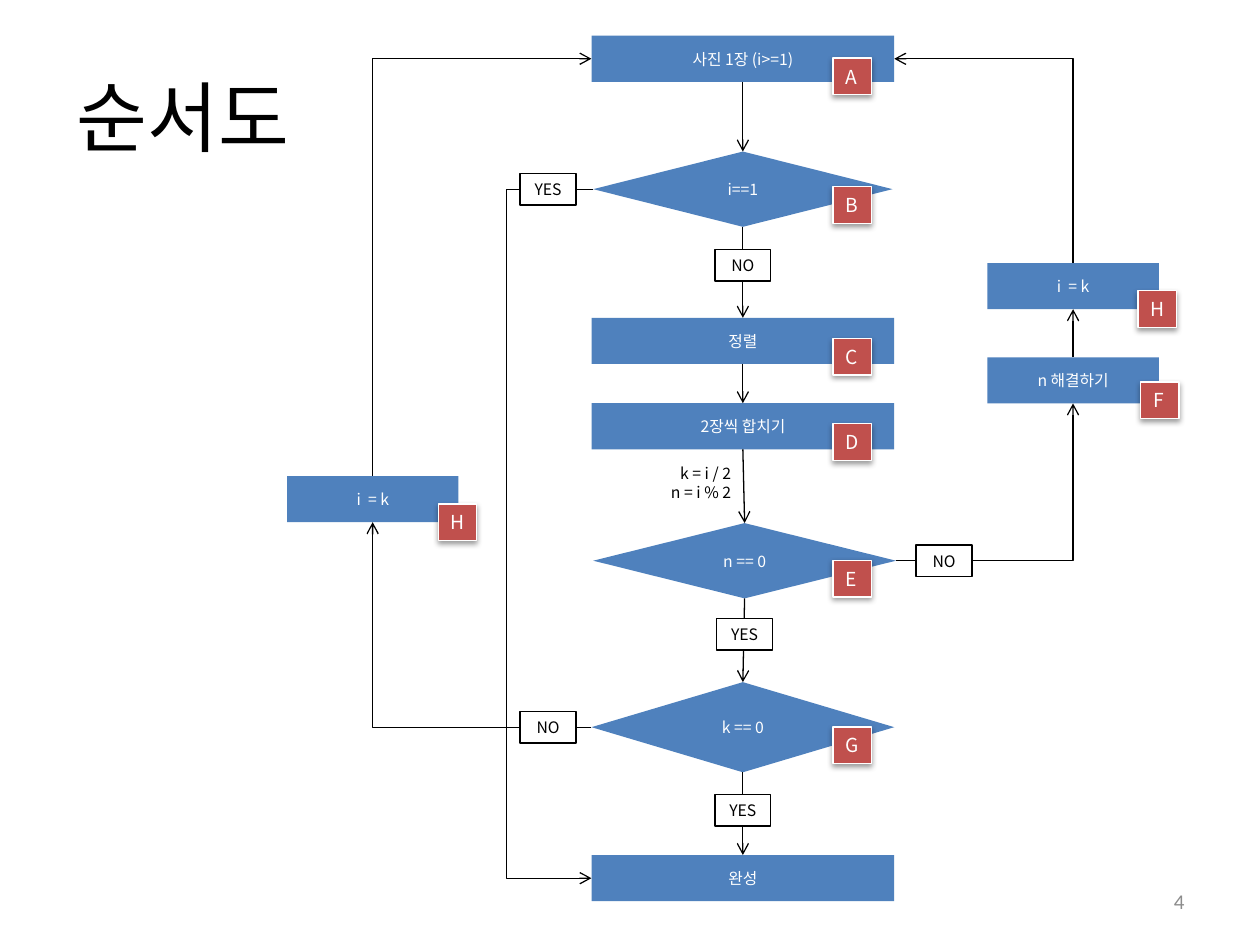
import pptx
import pptx.util
import pptx.dml.color
import pptx.enum.shapes
import pptx.enum.text
import pptx.oxml
import pptx.oxml.ns

Pt = pptx.util.Pt
Kind = pptx.enum.shapes.MSO_SHAPE
Wire = pptx.enum.shapes.MSO_CONNECTOR
Align = pptx.enum.text.PP_ALIGN
Anchor = pptx.enum.text.MSO_ANCHOR
qn = pptx.oxml.ns.qn
TOP, LEFT, BOTTOM, RIGHT = range(4)
HUES = {"blue": "4F81BD", "red": "C0504D", "white": "FFFFFF", "black": "000000", "gray": "8C8C8C"}
NS = 'xmlns:a="http://schemas.openxmlformats.org/drawingml/2006/main"'


def hue(name):
    return pptx.dml.color.RGBColor.from_string(HUES[name])


def node(text):
    return pptx.oxml.parse_xml(text.replace(" ", f" {NS} ", 1))


class Chart:
    font = "Noto Sans CJK KR"

    def __init__(self, deck):
        self.slide = deck.slides.add_slide(deck.slide_layouts[5])
        self.shapes = self.slide.shapes

    def words(self, shape, lines, size, color, align=Align.CENTER, font=None, wrap=True):
        frame = shape.text_frame
        frame.word_wrap = wrap
        frame.vertical_anchor = Anchor.MIDDLE
        for i, line in enumerate(lines):
            para = frame.add_paragraph() if i else frame.paragraphs[0]
            para.alignment = align
            if len(lines) > 1:
                para.line_spacing = Pt(11)
            run = para.add_run()
            run.text = line
            run.font.size = Pt(size)
            run.font.color.rgb = hue(color)
            run.font.name = font or self.font
            face = node(f'<a:ea typeface="{font or self.font}"/>')
            run.font._element.find(qn("a:latin")).addnext(face)

    def title(self, text, x, y, w, h):
        shape = self.shapes.title
        shape.left, shape.top, shape.width, shape.height = map(Pt, (x, y, w, h))
        shape.text_frame.margin_left = shape.text_frame.margin_right = 0
        self.words(shape, [text], 44, "black")

    def note(self, lines, x, y, w, h, **style):
        shape = self.shapes.add_textbox(*map(Pt, (x, y, w, h)))
        self.words(shape, lines, align=Align.RIGHT, **style)

    def box(self, text, x, y, w, h, kind=Kind.RECTANGLE, fill="blue", line=None,
            size=9, color="white", align=Align.CENTER, wrap=True):
        shape = self.shapes.add_shape(kind, *map(Pt, (x, y, w, h)))
        shape.shadow.inherit = False
        shape.fill.solid()
        shape.fill.fore_color.rgb = hue(fill)
        if line:
            shape.line.width = Pt(0.75)
            shape.line.color.rgb = hue(line)
        else:
            shape.line.fill.background()
        self.words(shape, [text], size, color, align, wrap=wrap)
        return shape

    def label(self, text, x, y):
        self.box(text, x, y, 32, 18, fill="white", line="black", color="black")

    def tag(self, text, x, y):
        shape = self.box(text, x, y, 21.9, 20.9, fill="red", line="white", size=11,
                         align=Align.LEFT, wrap=False)
        shape._element.spPr.find(qn("a:effectLst")).append(node(
            '<a:outerShdw blurRad="40000" dist="20000" dir="5400000" rotWithShape="0">'
            '<a:srgbClr val="000000"><a:alpha val="38000"/></a:srgbClr></a:outerShdw>'))

    def link(self, start, out, end, into, form="line", tip="tail", bend=None):
        kind = Wire.STRAIGHT if form == "line" else Wire.ELBOW
        wire = self.shapes.add_connector(kind, 0, 0, 0, 0)
        wire.begin_connect(start, out)
        wire.end_connect(end, into)
        wire.line.width = Pt(0.75)
        wire.line.color.rgb = hue("black")
        props = wire._element.spPr
        props.find(qn("a:ln")).append(node(f'<a:{tip}End type="arrow"/>'))
        props.append(node("<a:effectLst />"))
        shape = props.find(qn("a:prstGeom"))
        shape.set("prst", form)
        if bend:
            ratio = round(Pt(bend) / wire.width * 100000)
            guides = shape.find(qn("a:avLst"))
            guides.append(node(f'<a:gd name="adj1" fmla="val {ratio}"/>'))


deck = pptx.Presentation()
deck.slide_width, deck.slide_height = Pt(720), Pt(540)
flow = Chart(deck)

MID, WIDE, TALL = 338, 173, 26.4
SIDE = 98
photo = flow.box("사진 1장 (i>=1)", MID, 20.4, WIDE, TALL)
first = flow.box("i==1", MID + 1, 86.6, WIDE - 2, 43, Kind.DIAMOND)
sort = flow.box("정렬", MID, 181.6, WIDE, TALL)
merge = flow.box("2장씩 합치기", MID, 230.4, WIDE, TALL)
rest = flow.box("n == 0", MID + 1, 298.9, WIDE, 43, Kind.DIAMOND)
half = flow.box("k == 0", MID, 389.8, WIDE, 51.5, Kind.DIAMOND)
done = flow.box("완성", MID, 488.6, WIDE, TALL)
back = flow.box("i  = k", 564.2, 150.3, SIDE, TALL)
solve = flow.box("n 해결하기", 564.2, 204.2, SIDE, TALL)
loop = flow.box("i  = k", 164, 272, SIDE, TALL)

steps = [photo, first, sort, merge, rest, half, done]
for above, below in zip(steps, steps[1:]):
    flow.link(above, BOTTOM, below, TOP)
flow.link(solve, TOP, back, BOTTOM)
flow.link(first, LEFT, done, LEFT, "bentConnector3", bend=50)
flow.link(half, LEFT, loop, BOTTOM, "bentConnector2")
flow.link(photo, LEFT, loop, TOP, "bentConnector2", "head")
flow.link(rest, RIGHT, solve, BOTTOM, "bentConnector2")
flow.link(photo, RIGHT, back, TOP, "bentConnector2", "head")

for text, x, y in [("YES", 297.2, 99.2), ("NO", 408.5, 142.6), ("NO", 297.2, 406.6),
                   ("YES", 408.5, 454), ("YES", 409.5, 353.4), ("NO", 523.5, 311.4)]:
    flow.label(text, x, y)

for text, y in zip("ABCDEG", (33.2, 106.7, 193.4, 242.2, 320.2, 415.4)):
    flow.tag(text, 476, y)
for text, x, y in [("F", 651.8, 218.2), ("H", 650.2, 166.1), ("H", 250.4, 288)]:
    flow.tag(text, x, y)

flow.note(["k = i / 2", "n = i % 2"], 375.8, 261.4, 49, 28.8, size=9, color="black", wrap=False)
flow.note(["4"], 516, 500.5, 168, 28.8, size=12, color="gray", font="Calibri")
flow.title("순서도", 36, 21.6, 136.8, 88.6)

deck.save("out.pptx")
